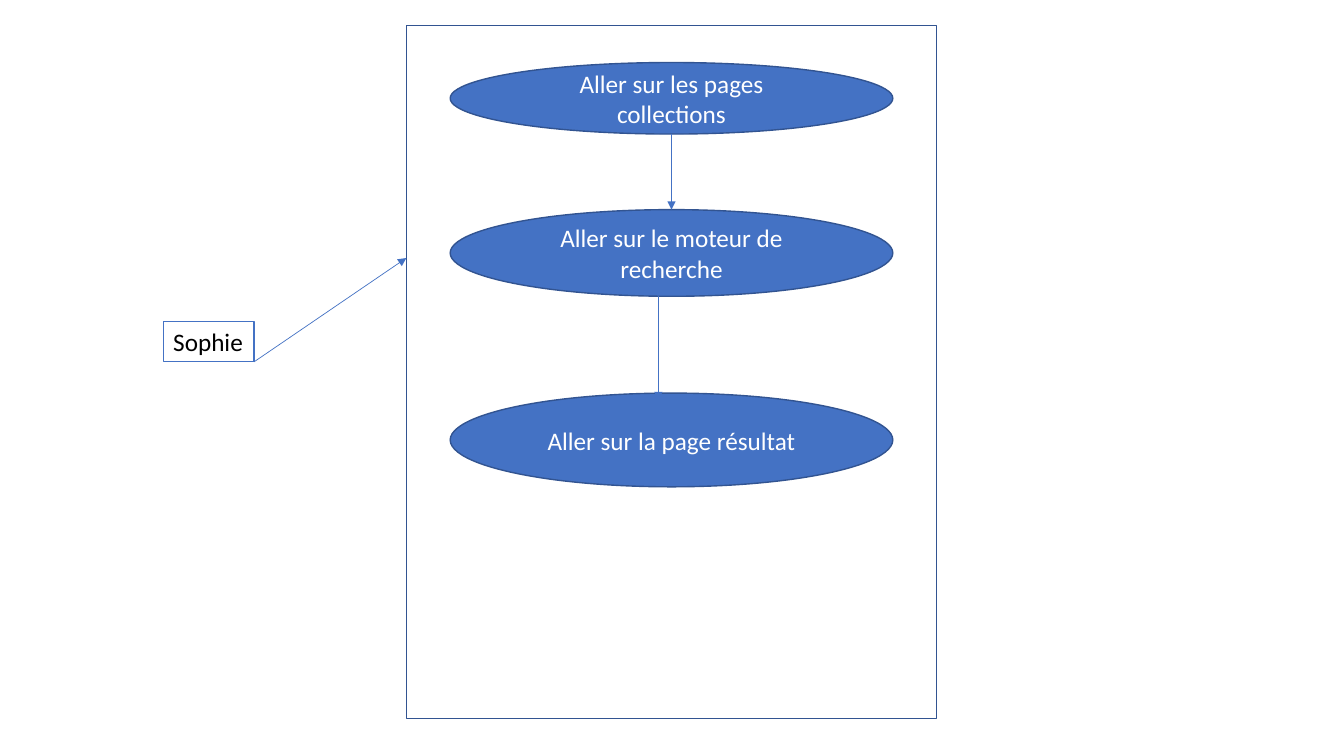
from lxml.etree import SubElement
from pptx import Presentation
from pptx.dml.color import RGBColor
from pptx.enum.shapes import MSO_CONNECTOR, MSO_SHAPE
from pptx.enum.text import MSO_ANCHOR, MSO_AUTO_SIZE, PP_ALIGN
from pptx.oxml.ns import qn
from pptx.util import Inches, Pt

BLUE = RGBColor(0x44, 0x72, 0xC4)
DARK_BLUE = RGBColor(0x32, 0x54, 0x91)
WHITE = RGBColor(0xFF, 0xFF, 0xFF)
BLACK = RGBColor(0x00, 0x00, 0x00)

SLIDE_W, SLIDE_H = 13.33, 7.5
SYSTEM = (4.03, 0.25, 5.26, 6.88)
ACTOR = (1.62, 3.19, 0.9, 0.4)
STEP_W = 4.39
CENTER_X = SYSTEM[0] + SYSTEM[2] / 2
# Label, top and height of each step
STEPS = [
    ("Aller sur les pages collections", 0.62, 0.71),
    ("Aller sur le moteur de recherche", 2.08, 0.86),
    ("Aller sur la page résultat", 3.9, 0.93),
]


def set_line(sp, color, width):
    sp.line.color.rgb = color
    sp.line.width = Pt(width)


def write(sp, text, color, align):
    p = sp.text_frame.paragraphs[0]
    p.alignment = align
    r = p.add_run()
    r.text = text
    for name, value in {"name": "Calibri", "size": Pt(18)}.items():
        setattr(r.font, name, value)
    r.font.color.rgb = color


def add_system(s):
    sp = s.shapes.add_shape(MSO_SHAPE.RECTANGLE, *map(Inches, SYSTEM))
    sp.shadow.inherit = False
    sp.fill.background()
    set_line(sp, DARK_BLUE, 1)


def add_actor(s, name):
    sp = s.shapes.add_textbox(*map(Inches, ACTOR))
    set_line(sp, BLUE, 0.75)
    tf = sp.text_frame
    tf.word_wrap = False
    tf.auto_size = MSO_AUTO_SIZE.SHAPE_TO_FIT_TEXT
    write(sp, name, BLACK, PP_ALIGN.LEFT)


def add_step(s, label, top, height):
    box = (CENTER_X - STEP_W / 2, top, STEP_W, height)
    sp = s.shapes.add_shape(MSO_SHAPE.OVAL, *map(Inches, box))
    sp.shadow.inherit = False
    sp.fill.solid()
    sp.fill.fore_color.rgb = BLUE
    set_line(sp, DARK_BLUE, 1)
    sp.text_frame.word_wrap = True
    sp.text_frame.vertical_anchor = MSO_ANCHOR.MIDDLE
    write(sp, label, WHITE, PP_ALIGN.CENTER)


def add_arrow(s, *ends):
    """Draw an arrow from (x1, y1) to (x2, y2), given as x1, y1, x2, y2."""
    cx = s.shapes.add_connector(MSO_CONNECTOR.STRAIGHT, *map(Inches, ends))
    set_line(cx, BLUE, 0.5)
    SubElement(cx.line._get_or_add_ln(), qn("a:tailEnd"), type="triangle")
    SubElement(cx._element.spPr, qn("a:effectLst"))


def main():
    prs = Presentation()
    prs.slide_width, prs.slide_height = Inches(SLIDE_W), Inches(SLIDE_H)
    s = prs.slides.add_slide(prs.slide_layouts[6])

    add_actor(s, "Sophie")
    add_system(s)
    for step in STEPS:
        add_step(s, *step)

    (_, top1, h1), (_, top2, h2), (_, top3, _) = STEPS
    add_arrow(s, CENTER_X, top1 + h1, CENTER_X, top2)
    add_arrow(s, 6.53, top2 + h2, 6.53, top3 + 0.07)
    left, top, width, height = ACTOR
    add_arrow(s, left + width, top + height, SYSTEM[0], 2.56)

    prs.save("out.pptx")


if __name__ == "__main__":
    main()
